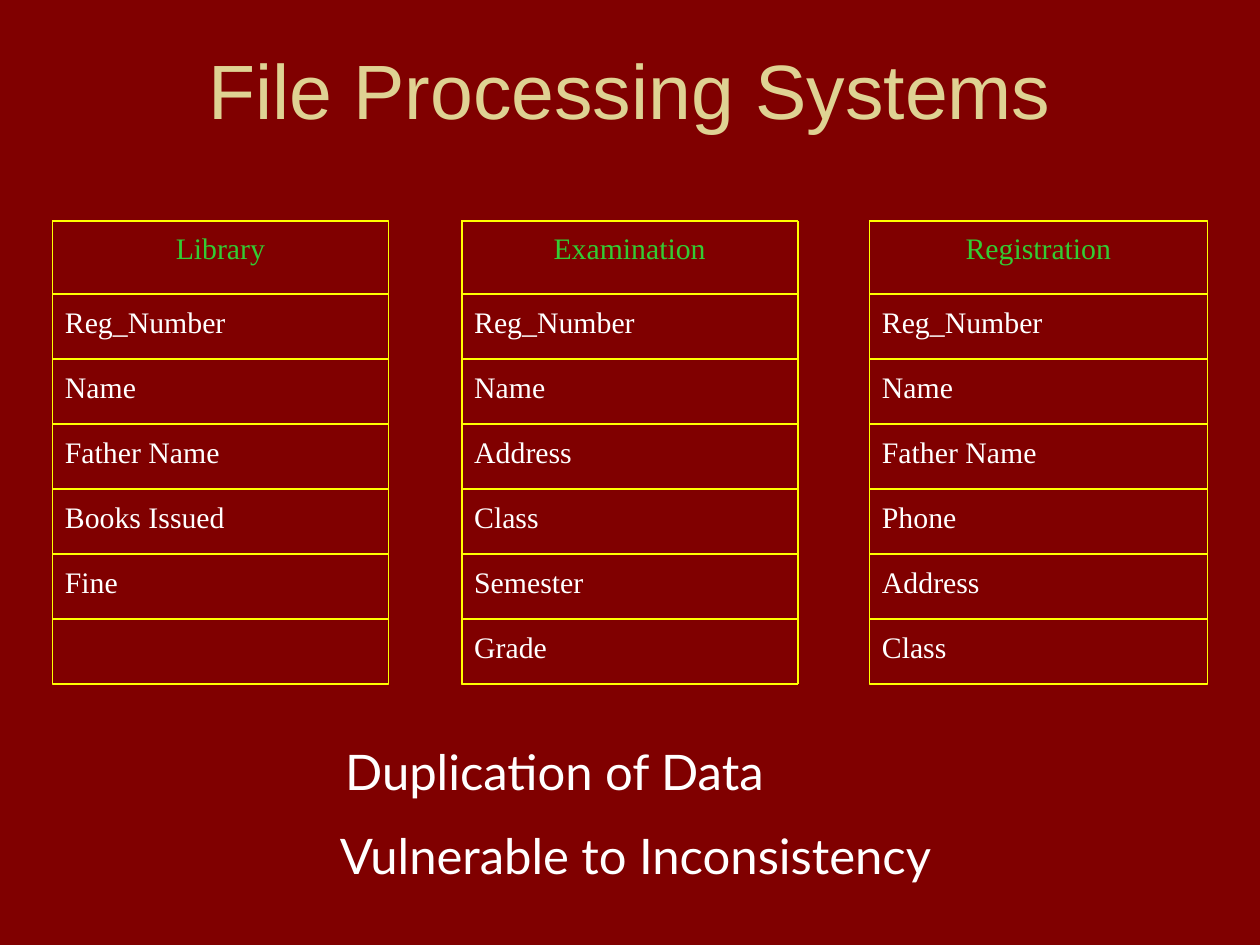
from dataclasses import dataclass
from itertools import accumulate, zip_longest

import lxml.etree
import pptx
import pptx.dml.color
import pptx.enum.shapes
import pptx.enum.text
import pptx.oxml.ns
import pptx.util
from pptx.util import Cm


@dataclass(frozen=True)
class Theme:
    background: str = "800000"
    title: str = "DFD293"
    heading: str = "33CC33"
    text: str = "FFFFFF"
    border: str = "FFFF00"
    title_font: str = "Arial"
    record_font: str = "Times New Roman"
    drawback_font: str = "Lato"
    title_size: int = 44
    record_size: int = 17
    drawback_size: int = 28
    cell_border: float = 0.75
    rule_width: float = 1


def rgb(colour):
    return pptx.dml.color.RGBColor.from_string(colour)


def write_text(frame, text, *, font, size, colour, centred=False):
    paragraph = frame.paragraphs[0]
    paragraph.text = text
    align = pptx.enum.text.PP_ALIGN
    paragraph.alignment = align.CENTER if centred else align.LEFT
    paragraph.font.name = font
    paragraph.font.size = pptx.util.Pt(size)
    paragraph.font.color.rgb = rgb(colour)


class SlideBuilder:
    def __init__(self, slide, theme):
        self.slide = slide
        self.theme = theme
        fill = slide.background.fill
        fill.solid()
        fill.fore_color.rgb = rgb(theme.background)

    def title(self, text):
        heading = self.slide.shapes.title
        heading.left, heading.top = Cm(1.27), Cm(0.83)
        heading.width, heading.height = Cm(22.86), Cm(1.9)
        heading.text_frame.vertical_anchor = pptx.enum.text.MSO_ANCHOR.MIDDLE
        write_text(heading.text_frame, text, font=self.theme.title_font,
                   size=self.theme.title_size, colour=self.theme.title, centred=True)

    def stroke(self, line, width):
        line.color.rgb = rgb(self.theme.border)
        line.width = pptx.util.Pt(width)

    def cell(self, group, text, left, top, width, height, is_heading):
        box = group.shapes.add_shape(pptx.enum.shapes.MSO_SHAPE.RECTANGLE,
                                     left, top, width, height)
        box.shadow.inherit = False
        box.fill.background()
        self.stroke(box.line, self.theme.cell_border)
        if text:
            frame = box.text_frame
            frame.word_wrap = True
            frame.vertical_anchor = pptx.enum.text.MSO_ANCHOR.TOP
            frame.margin_top = Cm(0.19)
            write_text(frame, text, font=self.theme.record_font,
                       size=self.theme.record_size, centred=is_heading,
                       colour=self.theme.heading if is_heading else self.theme.text)

    def rule(self, group, *ends):
        connector = group.shapes.add_connector(
            pptx.enum.shapes.MSO_CONNECTOR.STRAIGHT, *ends)
        self.stroke(connector.line, self.theme.rule_width)
        lxml.etree.SubElement(connector._element.spPr, pptx.oxml.ns.qn("a:effectLst"))

    def record(self, left, width, labels, row_count):
        group = self.slide.shapes.add_group_shape()
        heights = [Cm(1.48)] + [Cm(1.31)] * (row_count - 1)
        edges = list(accumulate(heights, initial=Cm(4.45)))
        rows = list(zip_longest(labels, edges[:-1], heights, fillvalue=""))
        for index, (label, top, height) in reversed(list(enumerate(rows))):
            self.cell(group, label, left, top, width, height, is_heading=index == 0)
        right = left + width
        for edge in edges:
            self.rule(group, left, edge, right, edge)
        for side in (left, right):
            self.rule(group, side, edges[0], side, edges[-1])

    def drawback(self, text, left, top, width):
        statement = self.slide.shapes.add_textbox(left, top, width, Cm(1.45))
        statement.text_frame.word_wrap = True
        write_text(statement.text_frame, text, font=self.theme.drawback_font,
                   size=self.theme.drawback_size, colour=self.theme.text)


def main():
    deck = pptx.Presentation()
    deck.slide_width, deck.slide_height = Cm(25.4), Cm(19.05)
    builder = SlideBuilder(deck.slides.add_slide(deck.slide_layouts[5]), Theme())

    departments = [
        (1.06, 6.77, ["Library", "Reg_Number", "Name", "Father Name",
                      "Books Issued", "Fine"]),
        (9.31, 6.77, ["Examination", "Reg_Number", "Name", "Address",
                      "Class", "Semester", "Grade"]),
        (17.53, 6.81, ["Registration", "Reg_Number", "Name", "Father Name",
                       "Phone", "Address", "Class"]),
    ]
    row_count = max(len(labels) for _, _, labels in departments)
    for left, width, labels in departments:
        builder.record(Cm(left), Cm(width), labels, row_count)

    builder.title("File Processing Systems")
    builder.drawback("Duplication of Data", Cm(6.71), Cm(14.82), Cm(9.42))
    builder.drawback("Vulnerable to Inconsistency", Cm(6.6), Cm(16.52), Cm(13.28))
    deck.save("out.pptx")


if __name__ == "__main__":
    main()
